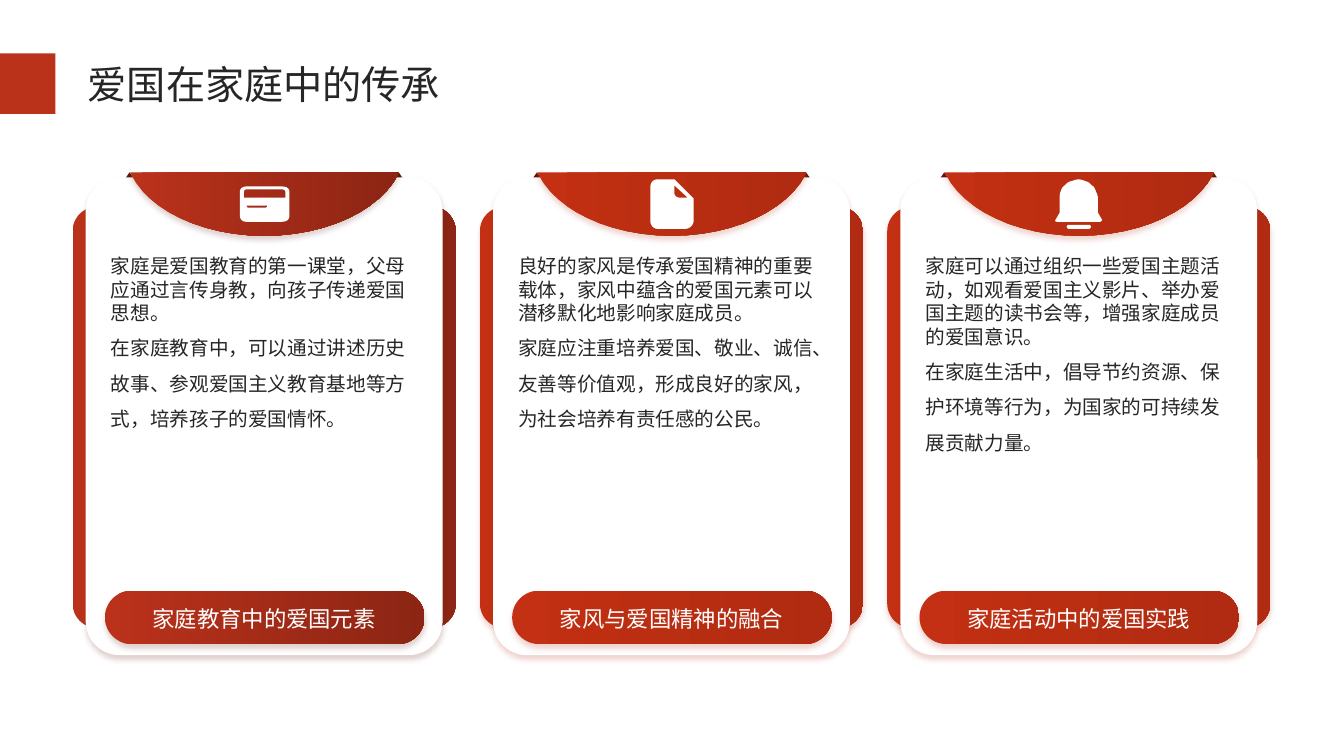
from dataclasses import dataclass

from lxml.etree import SubElement
from pptx import Presentation
from pptx.dml.color import RGBColor
from pptx.enum.shapes import MSO_SHAPE
from pptx.enum.text import MSO_ANCHOR, MSO_AUTO_SIZE, PP_ALIGN
from pptx.oxml.ns import qn
from pptx.shapes.autoshape import Shape
from pptx.slide import Slide
from pptx.text.text import TextFrame
from pptx.util import Inches, Pt


@dataclass(frozen=True)
class Theme:
    font: str = "Noto Sans CJK SC"
    ink: str = "262626"
    white: str = "FFFFFF"
    accent: str = "BB321B"
    title_size: int = 28
    label_size: int = 16
    body_size: int = 14


@dataclass(frozen=True)
class Palette:
    start: str
    end: str
    fold: str
    shadow: str


@dataclass(frozen=True)
class Icon:
    """An outline in hundredths of an inch, placed relative to its card."""
    left: float
    top: float
    outline: str


@dataclass(frozen=True)
class Card:
    label: str
    intro: str
    detail: str
    icon: Icon
    palette: Palette
    panel_shadow: bool = True


@dataclass(frozen=True)
class Line:
    text: str
    spacing: float


THEME = Theme()
DARK = Palette("BB321B", "8C2514", "5E190D", "5E190D")
BRIGHT = Palette("C33013", "B02B11", "621809", "B02B11")

FLAP = Icon(0.57, 1.71, "M 0 0 L 267 0 L 266 2 C 248 37 196 63 133 63 C 71 63 18 37 1 2 Z")
BANK_CARD = Icon(1.66, 1.85, (
    "M 6 19 L 7 20 C 7 21 8 21 9 21 L 25 21 C 26 21 26 21 27 20 L 27 19 Z "
    "M 6 3 C 5 3 4 4 4 5 L 4 11 L 45 11 L 45 5 C 45 4 44 3 42 3 Z "
    "M 6 0 L 42 0 C 46 0 49 2 49 5 L 49 29 C 49 33 46 35 42 35 "
    "L 6 35 C 3 35 0 33 0 29 L 0 5 C 0 2 3 0 6 0 Z"))
DOCUMENT = Icon(1.69, 1.78, (
    "M 24 6 L 24 14 C 24 16 26 18 29 18 L 37 18 Z "
    "M 7 0 L 24 0 L 43 19 L 43 41 C 43 45 39 49 35 49 L 7 49 "
    "C 3 49 0 45 0 41 L 0 8 C 0 3 3 0 7 0 Z"))
BELL = Icon(1.66, 1.78, (
    "M 14 45 L 34 45 C 35 45 36 46 36 47 C 36 48 35 49 34 49 L 14 49 "
    "C 13 49 12 48 12 47 C 12 46 13 45 14 45 Z "
    "M 24 0 C 26 0 29 1 31 2 C 33 2 35 4 37 6 C 39 7 40 9 41 12 C 42 14 43 17 43 19 "
    "L 43 33 L 47 40 C 47 41 46 42 45 42 L 2 42 C 1 42 0 41 1 40 L 5 33 L 5 19 "
    "C 5 17 5 14 6 12 C 7 9 8 7 10 6 C 12 4 14 2 16 2 C 19 1 21 0 24 0 Z"))

FIRST_LEFT, CARD_PITCH = 0.72, 4.04
CARDS = (
    Card("家庭教育中的爱国元素",
         "家庭是爱国教育的第一课堂，父母应通过言传身教，向孩子传递爱国思想。",
         "在家庭教育中，可以通过讲述历史故事、参观爱国主义教育基地等方式，培养孩子的爱国情怀。",
         BANK_CARD, DARK, panel_shadow=False),
    Card("家风与爱国精神的融合",
         "良好的家风是传承爱国精神的重要载体，家风中蕴含的爱国元素可以潜移默化地影响家庭成员。",
         "家庭应注重培养爱国、敬业、诚信、友善等价值观，形成良好的家风，为社会培养有责任感的公民。",
         DOCUMENT, BRIGHT),
    Card("家庭活动中的爱国实践",
         "家庭可以通过组织一些爱国主题活动，如观看爱国主义影片、举办爱国主题的读书会等，增强家庭成员的爱国意识。",
         "在家庭生活中，倡导节约资源、保护环境等行为，为国家的可持续发展贡献力量。",
         BELL, BRIGHT),
)


def paint(shape: Shape, *colours: str, shadow: str = "") -> None:
    """Fill with one colour or a left-to-right gradient of two."""
    if len(colours) == 1:
        shape.fill.solid()
        shape.fill.fore_color.rgb = RGBColor.from_string(colours[0])
    else:
        shape.fill.gradient()
        shape.fill.gradient_angle = 0
        for stop, colour in zip(shape.fill.gradient_stops, colours):
            stop.color.rgb = RGBColor.from_string(colour)
    shape.line.fill.background()
    shape.shadow.inherit = False
    if shadow:
        effects = shape.element.spPr.find(qn("a:effectLst"))
        outer = SubElement(effects, qn("a:outerShdw"), blurRad=str(Pt(4)), dist=str(Pt(3)),
                           dir="5400000", algn="t", rotWithShape="0")
        tint = SubElement(outer, qn("a:srgbClr"), val=shadow)
        SubElement(tint, qn("a:alpha"), val="20000")


def add_preset(slide: Slide, kind: MSO_SHAPE, left: float, top: float, width: float,
               height: float, corner: float | None = None) -> Shape:
    shape = slide.shapes.add_shape(kind, Inches(left), Inches(top), Inches(width), Inches(height))
    if corner is not None:
        shape.adjustments[0] = corner
    return shape


def add_outline(slide: Slide, icon: Icon, card_left: float) -> Shape:
    """Trace M, L, C and Z commands, sampling each curve."""
    def place(x: float, y: float) -> tuple[int, int]:
        return Inches(card_left + icon.left + x / 100), Inches(icon.top + y / 100)

    builder = None
    for contour in icon.outline.split("M")[1:]:
        tokens = contour.replace("Z", "").replace("L", "|L").replace("C", "|C").split("|")
        start, *steps = tokens
        pen = tuple(map(float, start.split()))
        if builder is None:
            builder = slide.shapes.build_freeform(*place(*pen))
        else:
            builder.move_to(*place(*pen))
        points = []
        for step in steps:
            numbers = list(map(float, step[1:].split()))
            ends = list(zip(numbers[::2], numbers[1::2]))
            if step[0] == "C":
                for t in (n / 12 for n in range(1, 12)):
                    weights = ((1 - t) ** 3, 3 * t * (1 - t) ** 2, 3 * t * t * (1 - t), t ** 3)
                    points.append(tuple(sum(w * p[axis] for w, p in zip(weights, (pen, *ends)))
                                        for axis in (0, 1)))
            pen = ends[-1]
            points.append(pen)
        builder.add_line_segments([place(*point) for point in points], close=True)
    return builder.convert_to_shape()


def write(frame: TextFrame, lines: tuple[Line, ...], size: int, colour: str,
          align: PP_ALIGN = PP_ALIGN.LEFT, anchor: MSO_ANCHOR = MSO_ANCHOR.TOP) -> None:
    frame_format = {"word_wrap": True, "auto_size": MSO_AUTO_SIZE.NONE, "vertical_anchor": anchor,
                    "margin_left": 0, "margin_top": 0, "margin_right": 0, "margin_bottom": 0}
    for name, value in frame_format.items():
        setattr(frame, name, value)
    for index, line in enumerate(lines):
        para = frame.add_paragraph() if index else frame.paragraphs[0]
        para.alignment = align
        para.line_spacing = line.spacing
        span = para.add_run()
        span.text = line.text
        for name, value in {"name": THEME.font, "size": Pt(size), "bold": False}.items():
            setattr(span.font, name, value)
        span.font.color.rgb = RGBColor.from_string(colour)


def add_text(slide: Slide, left: float, top: float, width: float, height: float) -> TextFrame:
    return slide.shapes.add_textbox(Inches(left), Inches(top), Inches(width),
                                    Inches(height)).text_frame


def add_card(slide: Slide, card: Card, left: float) -> None:
    tones = card.palette
    gradient = (tones.start, tones.end)
    rounded, fold = MSO_SHAPE.ROUNDED_RECTANGLE, MSO_SHAPE.ISOSCELES_TRIANGLE
    for offset in (0.49, 3.16):
        paint(add_preset(slide, fold, left + offset, 1.71, 0.15, 0.11), tones.fold)
    paint(add_preset(slide, rounded, left, 2.05, 3.8, 4.18, 0.064), *gradient,
          shadow=tones.shadow if card.panel_shadow else "")
    paint(add_preset(slide, rounded, left + 0.13, 1.76, 3.54, 4.74, 0.095), THEME.white,
          shadow=tones.shadow)
    paint(add_outline(slide, FLAP, left), *gradient, shadow=tones.shadow)
    paint(add_outline(slide, card.icon, left), THEME.white)
    paint(add_preset(slide, rounded, left + 0.32, 5.86, 3.17, 0.53, 0.5), *gradient,
          shadow=tones.shadow)
    write(add_text(slide, left + 0.56, 5.86, 2.68, 0.49), (Line(card.label, 1.2),),
          THEME.label_size, THEME.white, PP_ALIGN.CENTER, MSO_ANCHOR.MIDDLE)
    write(add_text(slide, left + 0.38, 2.52, 3.04, 3.16),
          (Line(card.intro, 1.0), Line(card.detail, 1.5)), THEME.body_size, THEME.ink)


def main() -> None:
    deck = Presentation()
    deck.slide_width, deck.slide_height = Inches(13.33), Inches(7.5)
    page = deck.slides.add_slide(deck.slide_layouts[5])
    title = page.shapes.title
    bounds = {"left": 0.87, "top": 0.55, "width": 11.88, "height": 0.51}
    for name, value in bounds.items():
        setattr(title, name, Inches(value))
    write(title.text_frame, (Line("爱国在家庭中的传承", 1.1),), THEME.title_size, THEME.ink,
          anchor=MSO_ANCHOR.MIDDLE)
    for index, card in enumerate(CARDS):
        add_card(page, card, FIRST_LEFT + index * CARD_PITCH)
    paint(add_preset(page, MSO_SHAPE.RECTANGLE, 0, 0.53, 0.55, 0.6), THEME.accent)
    deck.save("out.pptx")


if __name__ == "__main__":
    main()
